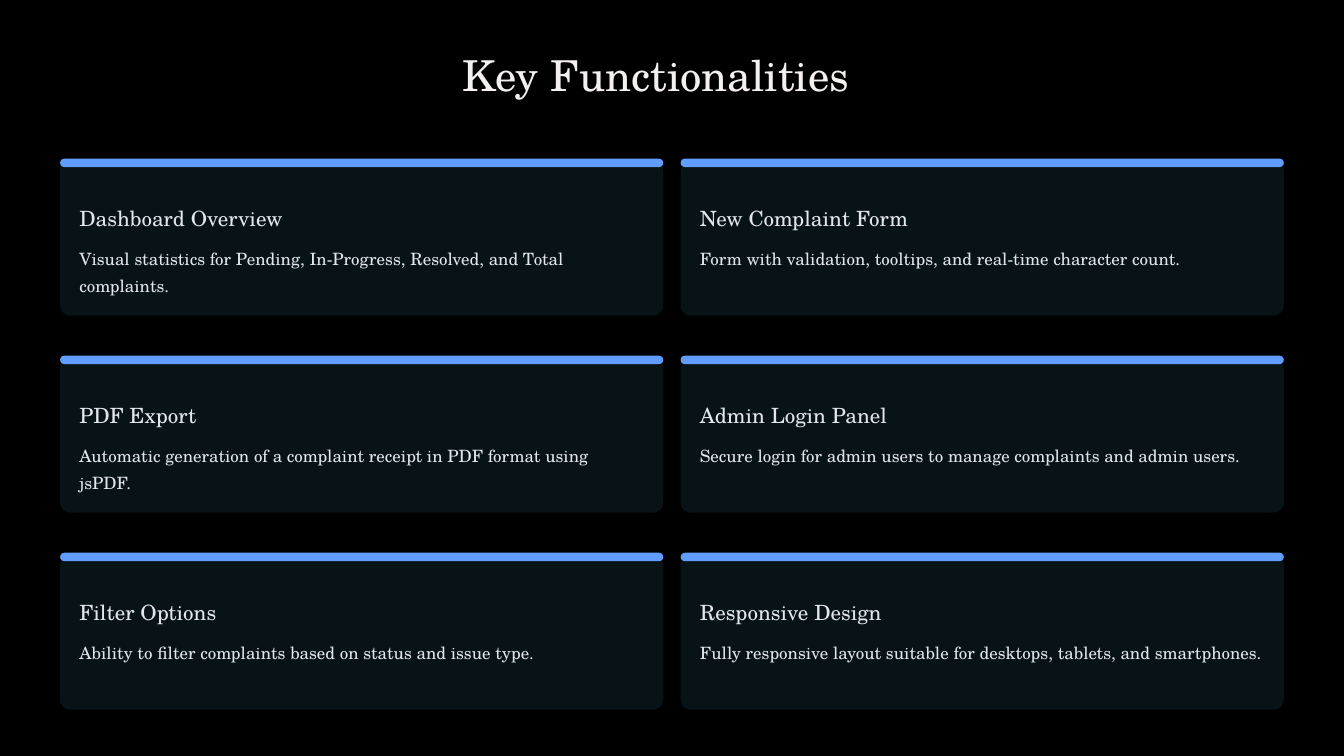
import lxml.etree
import pptx
import pptx.dml.color
import pptx.enum.shapes
import pptx.oxml.ns
import pptx.util

Pt = pptx.util.Pt
RGBColor = pptx.dml.color.RGBColor

BACKGROUND = RGBColor(0x00, 0x00, 0x00)
CARD = RGBColor(0x09, 0x15, 0x1A)
ACCENT = RGBColor(0x60, 0x9D, 0xFF)
TITLE = RGBColor(0xF5, 0xF0, 0xF0)
BODY = RGBColor(0xE2, 0xE6, 0xE9)

FONT = "TeX Gyre Schola"
COLUMNS = 2
GRID_LEFT, GRID_TOP = 51.5, 136
COLUMN_STEP, ROW_STEP = 531.9, 168.9
CARD_WIDTH, CARD_HEIGHT = 517, 132.5
BAR_HEIGHT, BAR_RISE = 7.2, 2
TEXT_INSET, TEXT_WIDTH = 16.5, 484

FUNCTIONALITIES = [
    ("Dashboard Overview",
     "Visual statistics for Pending, In-Progress, Resolved, and Total complaints."),
    ("New Complaint Form",
     "Form with validation, tooltips, and real-time character count."),
    ("PDF Export",
     "Automatic generation of a complaint receipt in PDF format using jsPDF."),
    ("Admin Login Panel",
     "Secure login for admin users to manage complaints and admin users."),
    ("Filter Options",
     "Ability to filter complaints based on status and issue type."),
    ("Responsive Design",
     "Fully responsive layout suitable for desktops, tablets, and smartphones."),
]


def add_text(slide, text, left, top, width, height, size, line_height, color):
    box = slide.shapes.add_textbox(Pt(left), Pt(top), Pt(width), Pt(height))
    frame = box.text_frame
    frame.margin_left = frame.margin_right = 0
    frame.margin_top = frame.margin_bottom = 0
    frame.word_wrap = True
    frame.text = text
    paragraph = frame.paragraphs[0]
    paragraph.line_spacing = Pt(line_height)
    font = paragraph.runs[0].font
    font.name = FONT
    font.size = Pt(size)
    font.color.rgb = color


def add_panel(slide, left, top, width, height, rounding, color):
    panel = slide.shapes.add_shape(
        pptx.enum.shapes.MSO_SHAPE.ROUNDED_RECTANGLE,
        Pt(left), Pt(top), Pt(width), Pt(height))
    panel.adjustments[0] = rounding
    panel.shadow.inherit = False
    panel.fill.solid()
    panel.fill.fore_color.rgb = color
    panel.line.fill.background()
    return panel


def set_opacity(panel, percent):
    qn = pptx.oxml.ns.qn
    color = panel.element.spPr.find(qn("a:solidFill")).find(qn("a:srgbClr"))
    lxml.etree.SubElement(color, qn("a:alpha")).set("val", str(percent * 1000))


def add_card(slide, left, top, heading, description):
    card = add_panel(slide, left, top + BAR_RISE, CARD_WIDTH, CARD_HEIGHT, 0.065, CARD)
    set_opacity(card, 95)
    add_panel(slide, left, top, CARD_WIDTH, BAR_HEIGHT, 0.5, ACCENT)
    text_left = left + TEXT_INSET
    add_text(slide, heading, text_left, top + 38.8, TEXT_WIDTH, 23, 18, 22.5, BODY)
    add_text(slide, description, text_left, top + 70.6, TEXT_WIDTH, 47, 14.5, 23.5, BODY)


def main():
    presentation = pptx.Presentation()
    presentation.slide_width = Pt(1152)
    presentation.slide_height = Pt(648)
    slide = presentation.slides.add_slide(presentation.slide_layouts[6])
    slide.background.fill.solid()
    slide.background.fill.fore_color.rgb = BACKGROUND

    add_text(slide, "Key Functionalities", 396.5, 40.3, 438.5, 46, 36.5, 45.5, TITLE)
    for index, (heading, description) in enumerate(FUNCTIONALITIES):
        row, column = divmod(index, COLUMNS)
        add_card(slide, GRID_LEFT + column * COLUMN_STEP,
                 GRID_TOP + row * ROW_STEP, heading, description)

    presentation.save("out.pptx")


if __name__ == "__main__":
    main()
